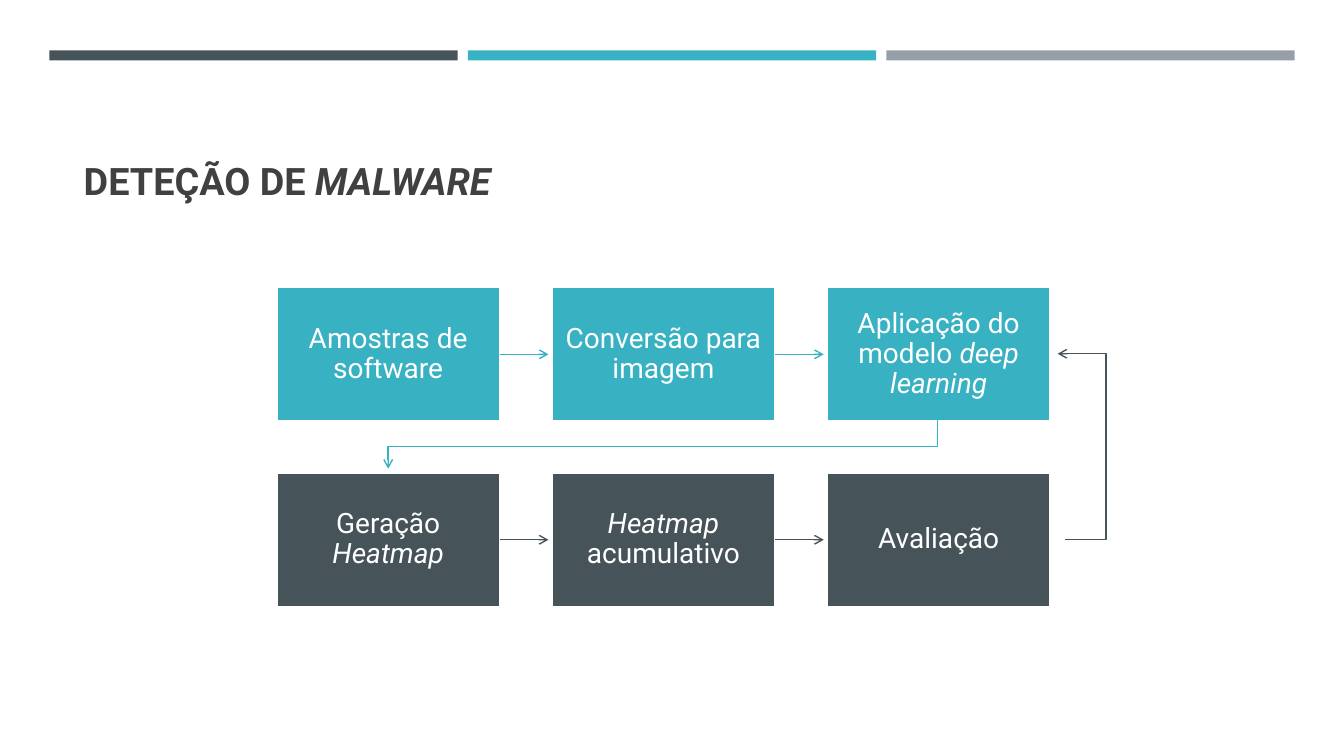
from dataclasses import dataclass

from lxml import etree
from pptx import Presentation
from pptx.dml.color import RGBColor
from pptx.enum import shapes, text
from pptx.oxml import ns
from pptx.util import Inches, Pt


@dataclass(frozen=True)
class Theme:
    font: str = "Roboto"
    teal: RGBColor = RGBColor(0x38, 0xB1, 0xC2)
    slate: RGBColor = RGBColor(0x46, 0x53, 0x59)
    gray: RGBColor = RGBColor(0x96, 0x9F, 0xA7)
    ink: RGBColor = RGBColor(0x40, 0x40, 0x40)
    white: RGBColor = RGBColor(0xFF, 0xFF, 0xFF)
    title_size: Pt = Pt(27)
    step_size: Pt = Pt(20)


theme = Theme()


def write_spans(para, marked, size, color, bold=False):
    """Write text into a paragraph, with the parts between asterisks in italics."""
    para.line_spacing = 0.9
    for index, part in enumerate(marked.split("*")):
        if part:
            span = para.add_run()
            span.text = part
            span.font.name, span.font.size = theme.font, size
            span.font.bold, span.font.italic = bold, index % 2 == 1
            span.font.color.rgb = color


def style_arrow(arrow, color):
    """Give a line its colour, an open head at its end and no shadow."""
    arrow.line.color.rgb = color
    arrow.line.width = Pt(1)
    outline = arrow.line._get_or_add_ln()
    etree.SubElement(outline, ns.qn("a:tailEnd"), type="arrow")
    etree.SubElement(arrow._element.spPr, ns.qn("a:effectLst"))


deck = Presentation()
deck.slide_width, deck.slide_height = Inches(13.33), Inches(7.5)
page = deck.slides.add_slide(deck.slide_layouts[5])

# Header bars
for column, color in enumerate((theme.slate, theme.teal, theme.gray)):
    bar = page.shapes.add_shape(
        shapes.MSO_SHAPE.RECTANGLE,
        Inches(0.49 + 4.15 * column), Inches(0.5), Inches(4.05), Inches(0.1))
    bar.shadow.inherit = False
    bar.fill.solid()
    bar.fill.fore_color.rgb = color
    bar.line.fill.background()

# Title
title = page.shapes.title
title.left, title.top = Inches(0.64), Inches(0.77)
title.width, title.height = Inches(12.06), Inches(1.3)
frame = title.text_frame
frame.auto_size = text.MSO_AUTO_SIZE.NONE
frame.vertical_anchor = text.MSO_ANCHOR.BOTTOM
frame.margin_left = Inches(0.19)
frame.paragraphs[0].alignment = text.PP_ALIGN.LEFT
write_spans(frame.paragraphs[0], "DETEÇÃO DE *MALWARE*",
            theme.title_size, theme.ink, bold=True)

# Process steps, with an arrow from each one to its right neighbour
box_left, box_width, box_height, pitch = 2.74, 2.22, 1.33, 2.73
rows = (
    (2.85, theme.teal, ("Amostras de software", "Conversão para imagem",
                        "Aplicação do modelo *deep learning*")),
    (4.69, theme.slate, ("Geração *Heatmap*", "*Heatmap* acumulativo", "Avaliação")),
)
for top, color, steps in rows:
    middle = Inches(top + box_height / 2)
    for column, step in enumerate(steps):
        left = box_left + pitch * column
        box = page.shapes.add_shape(
            shapes.MSO_SHAPE.RECTANGLE,
            Inches(left), Inches(top), Inches(box_width), Inches(box_height))
        box.shadow.inherit = False
        box.fill.solid()
        box.fill.fore_color.rgb = color
        box.line.color.rgb = theme.white
        box.line.width = Pt(1.75)
        frame = box.text_frame
        frame.word_wrap = True
        frame.vertical_anchor = text.MSO_ANCHOR.MIDDLE
        frame.margin_left = frame.margin_right = Inches(0.11)
        frame.margin_top = frame.margin_bottom = Inches(0.11)
        frame.paragraphs[0].alignment = text.PP_ALIGN.CENTER
        write_spans(frame.paragraphs[0], step, theme.step_size, theme.white)

        if column < len(steps) - 1:
            right = left + box_width
            arrow = page.shapes.add_connector(
                shapes.MSO_CONNECTOR.STRAIGHT,
                Inches(right), middle, Inches(right + 0.48), middle)
            arrow.begin_connect(box, 3)
            style_arrow(arrow, color)

# Bent arrows: down to the second row, and from the evaluation back to the model
bends = (
    (theme.teal, ((9.3, 4.17), (9.3, 4.43), (3.85, 4.43), (3.85, 4.65))),
    (theme.slate, ((10.56, 5.35), (10.97, 5.35), (10.97, 3.51), (10.49, 3.51))),
)
for color, corners in bends:
    points = [(Inches(x), Inches(y)) for x, y in corners]
    builder = page.shapes.build_freeform(*points[0])
    builder.add_line_segments(points[1:], close=False)
    bend = builder.convert_to_shape()
    bend.fill.background()
    style_arrow(bend, color)

deck.save("out.pptx")
